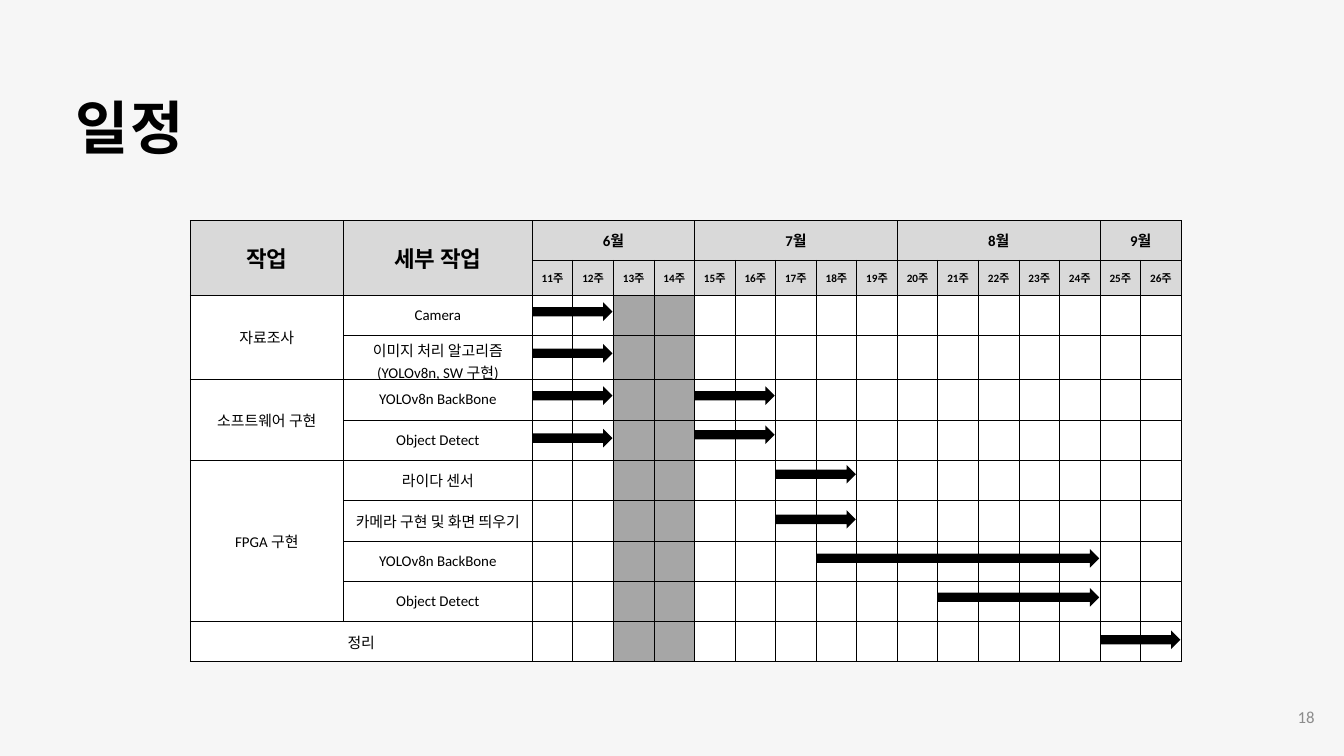
from lxml.etree import SubElement
from pptx import Presentation
from pptx.dml.color import RGBColor
from pptx.enum.shapes import MSO_SHAPE as SHAPE
from pptx.enum.text import MSO_ANCHOR as ANCHOR, PP_ALIGN as ALIGN
from pptx.oxml.ns import qn
from pptx.util import Pt

BLACK, GRAY, HEAD, BREAK, WHITE = "000000", "8C8C8C", "D9D9D9", "A6A6A6", "FFFFFF"
LEFT, TOP = 203.8, 236.2
TASK_W, DETAIL_W, WEEK_W = 164.2, 202.3, 43.46
ROW_HEIGHTS = [42.8, 37.5, 43.2, 47.1] + [43.2] * 7
FIRST_WEEK, WEEKS = 11, 16
BREAK_WEEKS = (13, 14)

months = [("6월", 4), ("7월", 5), ("8월", 5), ("9월", 2)]
tasks = [
    ("자료조사", ["Camera", "이미지 처리 알고리즘\n(YOLOv8n, SW 구현)"]),
    ("소프트웨어 구현", ["YOLOv8n BackBone", "Object Detect"]),
    ("FPGA 구현", ["라이다 센서", "카메라 구현 및 화면 띄우기",
                 "YOLOv8n BackBone", "Object Detect"]),
]
# first week, number of weeks, top
arrows = [
    (11, 2, 324), (11, 2, 368.6), (11, 2, 414), (11, 2, 459.4),
    (15, 2, 414), (15, 2, 455.8), (17, 2, 498.2), (17, 2, 546.5),
    (18, 7, 588.2), (21, 4, 630), (25, 2, 675.4),
]


def color(value):
    return RGBColor.from_string(value)


def write(tf, text, align=ALIGN.CENTER, fill=BLACK, **font):
    """Put one paragraph per line of text into a frame or cell."""
    tf.text = text
    for p in tf.paragraphs:
        p.alignment = align
        for r in p.runs:
            r.font.color.rgb = color(fill)
            for name, value in font.items():
                setattr(r.font, name, value)


prs = Presentation()
prs.slide_width, prs.slide_height = Pt(1440), Pt(810)
s = prs.slides.add_slide(prs.slide_layouts[6])
s.background.fill.solid()
s.background.fill.fore_color.rgb = color("F6F6F6")

# Title and page number
tf = s.shapes.add_textbox(Pt(80.6), Pt(85.7), Pt(738), Pt(80)).text_frame
tf.word_wrap = True
for side in ("left", "top", "right", "bottom"):
    setattr(tf, f"margin_{side}", 0)
write(tf, "일정", ALIGN.LEFT, name="Arial", size=Pt(62), bold=True)
p = tf.paragraphs[0]
p.line_spacing = Pt(86.9)
p.runs[0].font._element.set("spc", "220")

tf = s.shapes.add_textbox(Pt(1229.8), Pt(747.4), Pt(185.8), Pt(41)).text_frame
tf.word_wrap = True
tf.vertical_anchor = ANCHOR.MIDDLE
write(tf, "18", ALIGN.RIGHT, GRAY, name="Calibri", size=Pt(18))

# Schedule grid
col_widths = [TASK_W, DETAIL_W] + [WEEK_W] * WEEKS
table = s.shapes.add_table(len(ROW_HEIGHTS), len(col_widths), Pt(LEFT), Pt(TOP),
                           Pt(sum(col_widths)), Pt(sum(ROW_HEIGHTS))).table
table.first_row = table.horz_banding = False
for col, width in zip(table.columns, col_widths):
    col.width = Pt(width)
for row, height in zip(table.rows, ROW_HEIGHTS):
    row.height = Pt(height)

break_cols = [2 + week - FIRST_WEEK for week in BREAK_WEEKS]
for i, row in enumerate(table.rows):
    for j, cell in enumerate(row.cells):
        cell.vertical_anchor = ANCHOR.MIDDLE
        for side in ("left", "top", "right", "bottom"):
            setattr(cell, f"margin_{side}", Pt(4.3))
        tc_pr = cell._tc.get_or_add_tcPr()
        for edge in ("lnL", "lnR", "lnT", "lnB"):
            ln = SubElement(tc_pr, qn(f"a:{edge}"), w=str(Pt(1)))
            SubElement(SubElement(ln, qn("a:solidFill")), qn("a:srgbClr"), val=BLACK)
        cell.fill.solid()
        cell.fill.fore_color.rgb = color(
            HEAD if i < 2 else BREAK if j in break_cols else WHITE)

# Cell entries: row, column, rows spanned, columns spanned, text, size, bold
entries = [(0, 0, 2, 1, "작업", 24, True), (0, 1, 2, 1, "세부 작업", 24, True)]
j = 2
for month, span in months:
    entries.append((0, j, 1, span, month, 16, True))
    j += span
for k in range(WEEKS):
    entries.append((1, 2 + k, 1, 1, f"{FIRST_WEEK + k}주", 12, True))
i = 2
for task, details in tasks:
    entries.append((i, 0, len(details), 1, task, 16, False))
    for detail in details:
        entries.append((i, 1, 1, 1, detail, 16, False))
        i += 1
entries.append((i, 0, 1, 2, "정리", 16, False))

for i, j, rows, cols, text, size, bold in entries:
    cell = table.cell(i, j)
    if rows * cols > 1:
        cell.merge(table.cell(i + rows - 1, j + cols - 1))
    write(cell.text_frame, text, name="Calibri", size=Pt(size), bold=bold)

# Duration arrows
for week, count, top in arrows:
    left = LEFT + TASK_W + DETAIL_W + (week - FIRST_WEEK) * WEEK_W
    sp = s.shapes.add_shape(SHAPE.RIGHT_ARROW, Pt(left), Pt(top),
                            Pt(count * WEEK_W - 1), Pt(20))
    sp.shadow.inherit = False
    sp.fill.solid()
    sp.fill.fore_color.rgb = color(BLACK)
    sp.line.fill.background()

prs.save("out.pptx")
